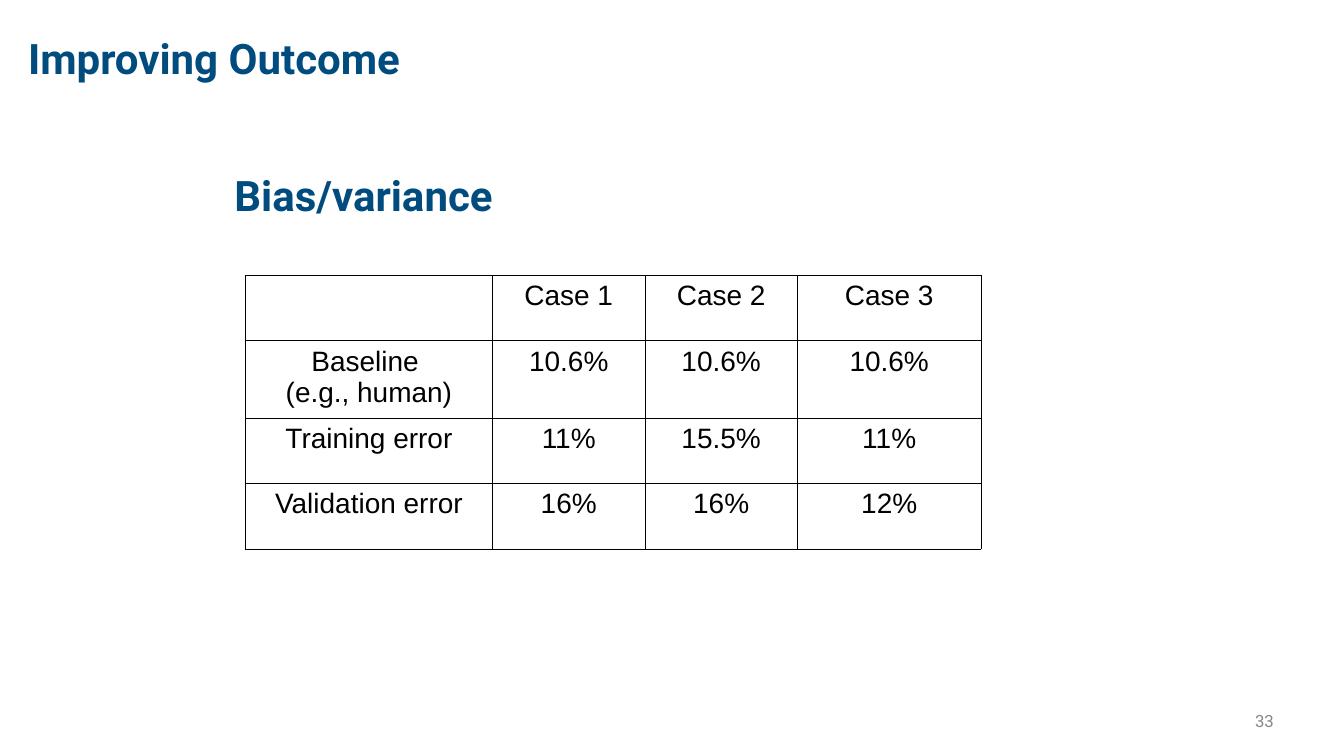
from dataclasses import dataclass

from lxml import etree
from pptx import Presentation
from pptx.dml.color import RGBColor
from pptx.enum.text import MSO_ANCHOR, PP_ALIGN
from pptx.oxml.ns import qn
from pptx.util import Inches, Pt

LEFT, CENTER, RIGHT = PP_ALIGN.LEFT, PP_ALIGN.CENTER, PP_ALIGN.RIGHT
TOP, MIDDLE = MSO_ANCHOR.TOP, MSO_ANCHOR.MIDDLE

COLORS = {"navy": "004C7F", "gray": "888888", "black": "000000"}
COLS = [4.9, 3.03, 3.02, 3.65]
ROWS = [1.3, 1.53, 1.3, 1.3]
CASES = [
    ["", "Case 1", "Case 2", "Case 3"],
    ["Baseline \n(e.g., human)", "10.6%", "10.6%", "10.6%"],
    ["Training error", "11%", "15.5%", "11%"],
    ["Validation error", "16%", "16%", "12%"],
]


@dataclass
class Style:
    size: float
    color: str
    font: str = "Roboto"
    bold: bool = False
    align: PP_ALIGN = LEFT
    space: float = 1.0


@dataclass
class Label:
    text: str
    box: tuple[float, float, float, float]
    style: Style
    anchor: MSO_ANCHOR = TOP
    inset: float = 0.1


HEAD = Style(60, "navy", bold=True)
CELL = Style(40, "black", "Arial", align=CENTER)
TITLE = Label("Bias/variance", (4.55, 2.78, 18.45, 2.15), HEAD, MIDDLE)
LABELS = [
    Label("Improving Outcome", (0.46, 0.66, 10.33, 1.12),
          Style(60, "navy", bold=True, space=0.9)),
    Label("33", (24.56, 14.05, 0.77, 0.5),
          Style(24, "gray", align=RIGHT), MIDDLE, 0.05),
]


def write(frame, text: str, style: Style) -> None:
    for i, line in enumerate(text.split("\n")):
        para = frame.add_paragraph() if i else frame.paragraphs[0]
        para.alignment = style.align
        para.line_spacing = style.space
        run = para.add_run()
        run.text = line
        font = run.font
        font.name, font.size, font.bold = style.font, Pt(style.size), style.bold
        font.color.rgb = RGBColor.from_string(COLORS[style.color])


def place(shape, label: Label) -> None:
    shape.left, shape.top, shape.width, shape.height = map(Inches, label.box)
    frame = shape.text_frame
    frame.word_wrap = True
    frame.vertical_anchor = label.anchor
    frame.margin_left = frame.margin_right = Inches(label.inset)
    frame.margin_top = frame.margin_bottom = Inches(label.inset)
    write(frame, label.text, label.style)


def border(cell) -> None:
    props = cell._tc.get_or_add_tcPr()
    for side in ("lnL", "lnR", "lnT", "lnB"):
        line = etree.SubElement(props, qn(f"a:{side}"), w=str(Pt(1)))
        fill = etree.SubElement(line, qn("a:solidFill"))
        etree.SubElement(fill, qn("a:srgbClr"), val=COLORS["black"])


def add_grid(slide, left: float, top: float) -> None:
    table = slide.shapes.add_table(
        len(ROWS), len(COLS), Inches(left), Inches(top),
        Inches(sum(COLS)), Inches(sum(ROWS))).table
    table.first_row = table.horz_banding = False
    for col, width in zip(table.columns, COLS):
        col.width = Inches(width)
    for row, height, texts in zip(table.rows, ROWS, CASES):
        row.height = Inches(height)
        for cell, text in zip(row.cells, texts):
            border(cell)
            cell.fill.background()
            cell.margin_left = cell.margin_right = Inches(0.2)
            cell.margin_top = cell.margin_bottom = Inches(0.1)
            if text:
                write(cell.text_frame, text, CELL)


def main() -> None:
    deck = Presentation()
    deck.slide_width, deck.slide_height = Inches(26.67), Inches(15)
    slide = deck.slides.add_slide(deck.slide_layouts[5])
    place(slide.shapes.title, TITLE)
    add_grid(slide, 4.87, 5.46)
    for label in LABELS:
        place(slide.shapes.add_textbox(*map(Inches, label.box)), label)
    deck.save("out.pptx")


if __name__ == "__main__":
    main()
